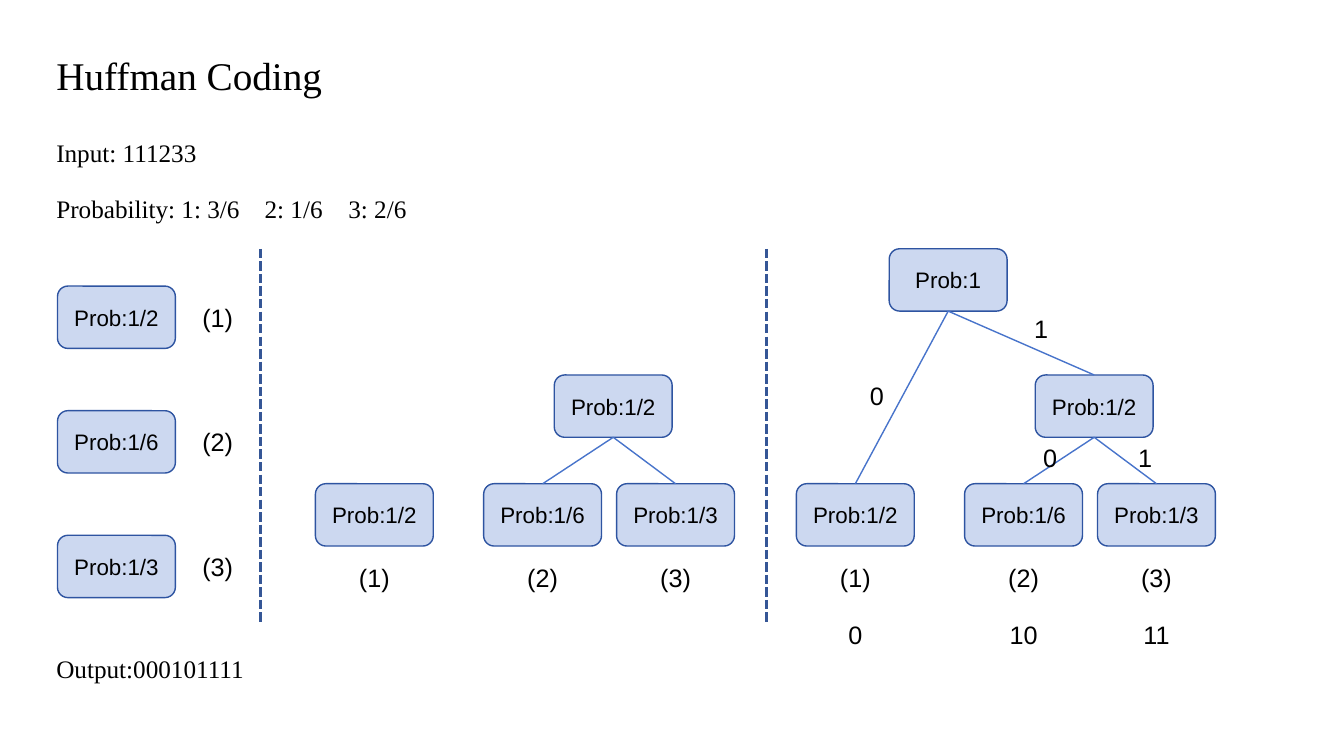
import pptx
import pptx.dml.color
import pptx.enum.dml
import pptx.enum.shapes
import pptx.enum.text
import pptx.oxml
import pptx.oxml.ns
import pptx.util

Cm = pptx.util.Cm
Pt = pptx.util.Pt
RGBColor = pptx.dml.color.RGBColor
ALIGN = pptx.enum.text.PP_ALIGN

BLACK = RGBColor(0x00, 0x00, 0x00)
NODE_BLUE = RGBColor(0x48, 0x74, 0xCB)
NODE_BORDER = RGBColor(0x2E, 0x54, 0xA1)
DIVIDER_BLUE = RGBColor(0x35, 0x56, 0x96)
SERIF, SANS = "Times New Roman", "Arial"

NODE_WIDTH, NODE_HEIGHT = 2.97, 1.57
LABEL_HEIGHT = 1.02
# Symbol, its probability, its code, and its leaf's offset in a tree
SYMBOLS = [("(1)", "Prob:1/2", "0", 0),
           ("(2)", "Prob:1/6", "10", 4.24),
           ("(3)", "Prob:1/3", "11", 7.59)]


def add_child(parent, tag, **attributes):
    child = pptx.oxml.parse_xml(f"<{tag} {pptx.oxml.ns.nsdecls('a')}/>")
    for name, value in attributes.items():
        child.set(name, str(value))
    parent.append(child)
    return child


def style_paragraph(paragraph, text, size, font_name, align):
    paragraph.text = text
    paragraph.alignment = align
    paragraph.font.size = Pt(size)
    paragraph.font.name = font_name
    paragraph.font.color.rgb = BLACK


def add_text(page, text, left, top, width, height=LABEL_HEIGHT, size=18,
             font_name=SANS, align=ALIGN.LEFT):
    box = page.shapes.add_textbox(Cm(left), Cm(top), Cm(width), Cm(height))
    box.text_frame.word_wrap = True
    box.text_frame.auto_size = pptx.enum.text.MSO_AUTO_SIZE.SHAPE_TO_FIT_TEXT
    style_paragraph(box.text_frame.paragraphs[0], text, size, font_name, align)
    return box


def add_node(page, text, left, top):
    node = page.shapes.add_shape(pptx.enum.shapes.MSO_SHAPE.ROUNDED_RECTANGLE,
                                 Cm(left), Cm(top), Cm(NODE_WIDTH), Cm(NODE_HEIGHT))
    node.shadow.inherit = False
    node.fill.solid()
    node.fill.fore_color.rgb = NODE_BLUE
    color = node.fill._xPr.find(".//" + pptx.oxml.ns.qn("a:srgbClr"))
    add_child(color, "a:alpha", val=28000)
    node.line.color.rgb = NODE_BORDER
    node.line.width = Pt(1)
    node.text_frame.word_wrap = True
    node.text_frame.vertical_anchor = pptx.enum.text.MSO_ANCHOR.MIDDLE
    style_paragraph(node.text_frame.paragraphs[0], text, 16, SANS, ALIGN.CENTER)
    return node


def add_line(page, start, end, color, weight):
    line = page.shapes.add_connector(pptx.enum.shapes.MSO_CONNECTOR.STRAIGHT,
                                     *map(Cm, start + end))
    line.line.color.rgb = color
    line.line.width = Pt(weight)
    add_child(line._element.spPr, "a:effectLst")
    return line


def add_edge(page, child, parent):
    edge = add_line(page, (0, 0), (0, 0), NODE_BLUE, 1)
    edge.begin_connect(child, 0)
    edge.end_connect(parent, 2)


def add_header(page, left, top):
    add_text(page, "Huffman Coding", left, top, 24.9, 1.45, 28, SERIF)
    add_text(page, "Input: 111233", left, top + 2.16, 11.28, font_name=SERIF)
    odds = add_text(page, "Probability: 1: 3/6\t2: 1/6\t3: 2/6", left, top + 3.58,
                    14.02, font_name=SERIF)
    # Tab stops set the gaps between the probabilities
    properties = odds.text_frame.paragraphs[0]._p.get_or_add_pPr()
    stops = add_child(properties, "a:tabLst")
    properties.insert(0, stops)
    for position in (5.25, 7.36):
        add_child(stops, "a:tab", pos=Cm(position), algn="l")


def add_symbol_list(page, left, top, step):
    for row, (symbol, probability, _, _) in enumerate(SYMBOLS):
        row_top = top + row * step
        add_node(page, probability, left, row_top)
        add_text(page, symbol, left + 3.4, row_top + 0.28, 1.7)


def add_divider(page, left, top, height):
    line = add_line(page, (left, top), (left, top + height), DIVIDER_BLUE, 2.25)
    line.line.dash_style = pptx.enum.dml.MSO_LINE.SQUARE_DOT


def add_tree(page, left, top, finished):
    leaves = []
    for symbol, probability, code, offset in SYMBOLS:
        leaves.append(add_node(page, probability, left + offset, top + 5.92))
        captions = [(symbol, 7.77)] + ([(code, 9.21)] if finished else [])
        for text, drop in captions:
            add_text(page, text, left + offset, top + drop, NODE_WIDTH,
                     align=ALIGN.CENTER)
    merged = add_node(page, "Prob:1/2", left + 6.02, top + 3.18)
    for leaf in leaves[1:]:
        add_edge(page, leaf, merged)
    if finished:
        root = add_node(page, "Prob:1", left + 2.34, top)
        for child in (leaves[0], merged):
            add_edge(page, child, root)
        # Bits on the edges
        for bit, across, down in [("1", 5.74, 1.5), ("1", 8.36, 4.76),
                                  ("0", 1.6, 3.18), ("0", 5.97, 4.76)]:
            add_text(page, bit, left + across, top + down, 0.89)


deck = pptx.Presentation()
deck.slide_width, deck.slide_height = Cm(33.87), Cm(19.05)
page = deck.slides.add_slide(deck.slide_layouts[6])

MARGIN, TREE_TOP = 1.17, 6.27
add_header(page, MARGIN, 1.17)
add_symbol_list(page, 1.45, 7.21, 3.14)
for divider_left in (6.56, 19.31):
    add_divider(page, divider_left, TREE_TOP, 9.45)
add_tree(page, 7.95, TREE_TOP, finished=False)
add_tree(page, 20.07, TREE_TOP, finished=True)
add_text(page, "Output:000101111", MARGIN, 16.33, 11.28, font_name=SERIF)

deck.save("out.pptx")
